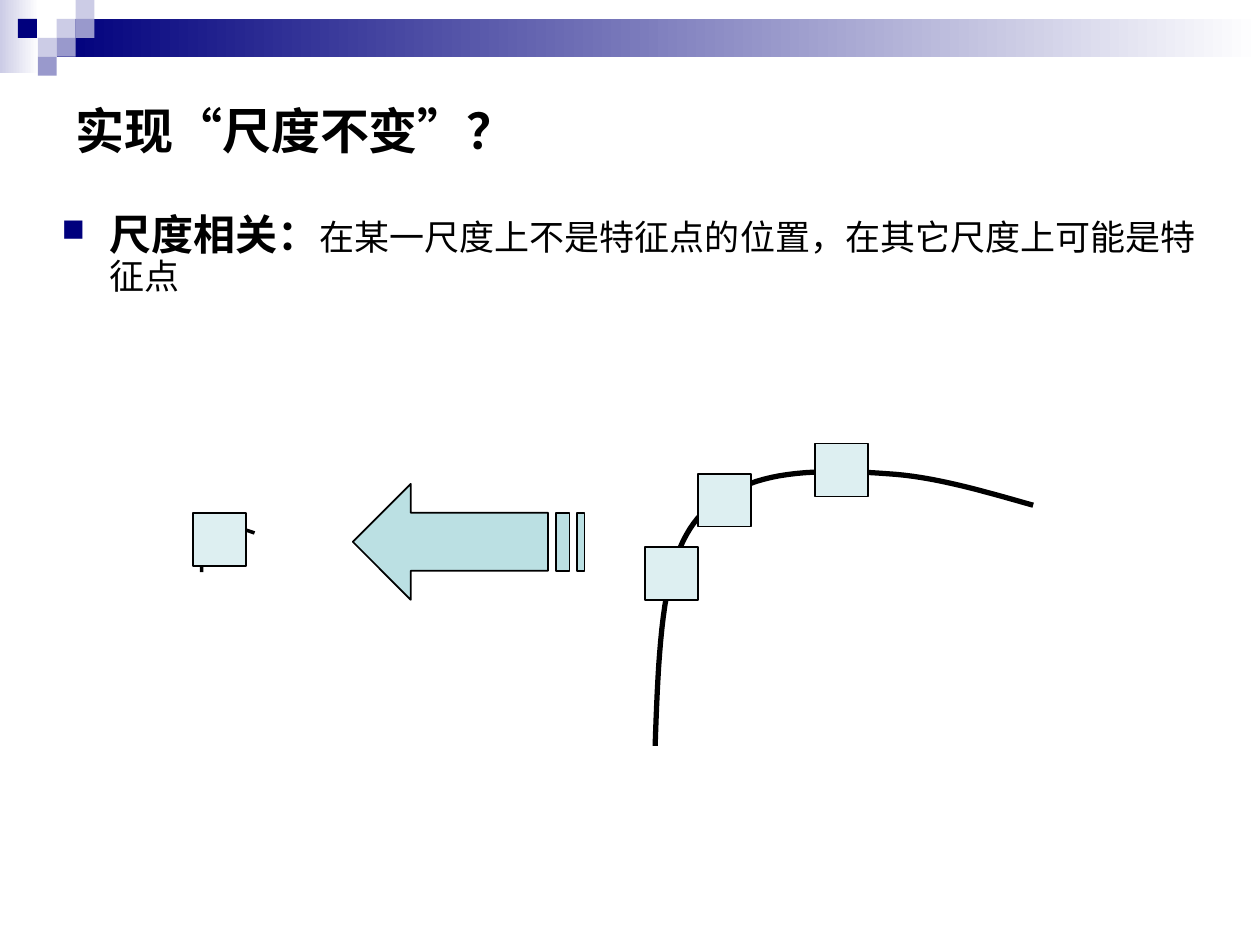
from lxml.etree import SubElement
from pptx import Presentation
from pptx.dml.color import RGBColor
from pptx.enum.shapes import MSO_SHAPE as Shape
from pptx.enum.text import MSO_ANCHOR as Anchor
from pptx.oxml.ns import qn
from pptx.util import Inches, Pt

FONT = "Times New Roman"
BLACK, NAVY, LILAC, PALE = "000000", "00007D", "9999CC", "CCCCE6"
AQUA, ICE, WHITE = "BBE0E3", "DDEFF1", "FFFFFF"


def rgb(value):
    """Turn a hex string into a colour."""
    return RGBColor.from_string(value)


def paint(shape, fill=None, line=None, weight=1):
    """Set fill and outline of a shape and remove its shadow."""
    shape.shadow.inherit = False
    if fill:
        shape.fill.solid()
        shape.fill.fore_color.rgb = rgb(fill)
    else:
        shape.fill.background()
    if line:
        shape.line.color.rgb = rgb(line)
        shape.line.width = Pt(weight)
    else:
        shape.line.fill.background()


def add_rectangle(page, left, top, width, height, fill, line=None):
    """Add a filled rectangle and return it."""
    box = page.shapes.add_shape(
        Shape.RECTANGLE, Inches(left), Inches(top), Inches(width), Inches(height))
    paint(box, fill, line)
    return box


def add_fade(page, left, top, width, height, start):
    """Add a rectangle that fades to white from left to right."""
    box = add_rectangle(page, left, top, width, height, start)
    box.fill.gradient()
    box.fill.gradient_angle = 0
    for stop, color in zip(box.fill.gradient_stops, (start, WHITE)):
        stop.color.rgb = rgb(color)


def add_outline(page, points, closed, **style):
    """Add a freeform through points given in inches."""
    corners = [(Inches(x), Inches(y)) for x, y in points]
    builder = page.shapes.build_freeform(*corners[0])
    builder.add_line_segments(corners[1:], close=closed)
    paint(builder.convert_to_shape(), **style)


def add_curve(page, knots, weight, steps=16):
    """Draw a chain of cubic Bezier segments as a fine polyline."""
    points = [knots[0]]
    for first in range(0, len(knots) - 1, 3):
        segment = knots[first:first + 4]
        for step in range(1, steps + 1):
            t = step / steps
            weights = ((1 - t) ** 3, 3 * t * (1 - t) ** 2, 3 * t * t * (1 - t), t ** 3)
            points.append(tuple(
                sum(w * knot[axis] for w, knot in zip(weights, segment))
                for axis in (0, 1)))
    add_outline(page, points, False, line=BLACK, weight=weight)


def add_text_box(page, left, top, width, height, anchor):
    """Add a wrapping text box and return its first paragraph."""
    box = page.shapes.add_textbox(
        Inches(left), Inches(top), Inches(width), Inches(height))
    box.text_frame.word_wrap = True
    box.text_frame.vertical_anchor = anchor
    return box.text_frame.paragraphs[0]


def add_bullet(para, indent):
    """Give a paragraph a navy square bullet with a hanging indent."""
    props = para._p.get_or_add_pPr()
    props.set("marL", str(Inches(indent)))
    props.set("indent", str(-Inches(indent)))
    SubElement(SubElement(props, qn("a:buClr")), qn("a:srgbClr"), val=NAVY)
    SubElement(props, qn("a:buSzPct"), val="75000")
    SubElement(props, qn("a:buChar"), char="■")


def style_text(font, size=None, bold=None):
    """Set the slide font in black."""
    font.name = FONT
    font.color.rgb = rgb(BLACK)
    font.size = Pt(size) if size else None
    font.bold = bold


def add_banner(page):
    """Draw the fading band and its checkered squares."""
    add_fade(page, 0, 0, 0.31, 0.58, PALE)
    add_fade(page, 0.45, 0.15, 9.55, 0.3, NAVY)
    cell = 0.15
    squares = [(3, 1, PALE), (4, 0, PALE), (4, 1, LILAC), (2, 2, PALE),
               (0.95, 1, NAVY), (3, 2, LILAC), (2, 3, LILAC)]
    for column, row, color in squares:
        add_rectangle(page, column * cell, row * cell, cell, cell, color)


def add_texts(page):
    """Write the title and the bulleted statement."""
    title = add_text_box(page, 0.5, 0.5, 9.11, 1.06, Anchor.MIDDLE)
    title.text = "实现“尺度不变”？"
    style_text(title.font, 28, True)
    body = add_text_box(page, 0.39, 1.65, 9.24, 1.1, Anchor.TOP)
    add_bullet(body, 0.38)
    body.line_spacing = 0.9
    style_text(body.font)
    for text, size, bold in (
            ("尺度相关：", 24, True),
            ("在某一尺度上不是特征点的位置，在其它尺度上可能是特征点", 20, False)):
        span = body.add_run()
        span.text = text
        style_text(span.font, size, bold)


def add_windows(page, corners):
    """Place equal detection windows at the given corners."""
    for left, top in corners:
        add_rectangle(page, left, top, 0.42, 0.42, ICE, BLACK)


def add_striped_arrow(page):
    """Draw the left arrow with two stripes behind it."""
    arrow = [(3.26, 3.84), (3.26, 4.07), (4.35, 4.07), (4.35, 4.53),
             (3.26, 4.53), (3.26, 4.76), (2.8, 4.3)]
    add_outline(page, arrow, True, fill=AQUA, line=BLACK)
    for left, width in ((4.41, 0.11), (4.58, 0.06)):
        add_rectangle(page, left, 4.07, width, 0.46, AQUA, BLACK)


def main():
    """Build the slide and save it."""
    deck = Presentation()
    deck.slide_width, deck.slide_height = Inches(10), Inches(7.5)
    page = deck.slides.add_slide(deck.slide_layouts[6])
    add_banner(page)
    add_texts(page)
    small = [(1.6, 4.54), (1.6, 4.45), (1.6, 4.35), (1.62, 4.3), (1.64, 4.24),
             (1.66, 4.22), (1.7, 4.2), (1.74, 4.18), (1.8, 4.18), (1.85, 4.19),
             (1.91, 4.19), (1.96, 4.21), (2.02, 4.23)]
    large = [(5.2, 5.92), (5.22, 5.35), (5.24, 4.77), (5.37, 4.42), (5.49, 4.08),
             (5.68, 3.95), (5.95, 3.84), (6.23, 3.73), (6.66, 3.73), (7.04, 3.76),
             (7.41, 3.78), (7.81, 3.9), (8.2, 4.01)]
    add_curve(page, small, 2)
    add_windows(page, [(1.53, 4.07)])
    add_curve(page, large, 3)
    add_windows(page, [(5.12, 4.34), (5.54, 3.76), (6.47, 3.52)])
    add_striped_arrow(page)
    deck.save("out.pptx")


if __name__ == "__main__":
    main()
